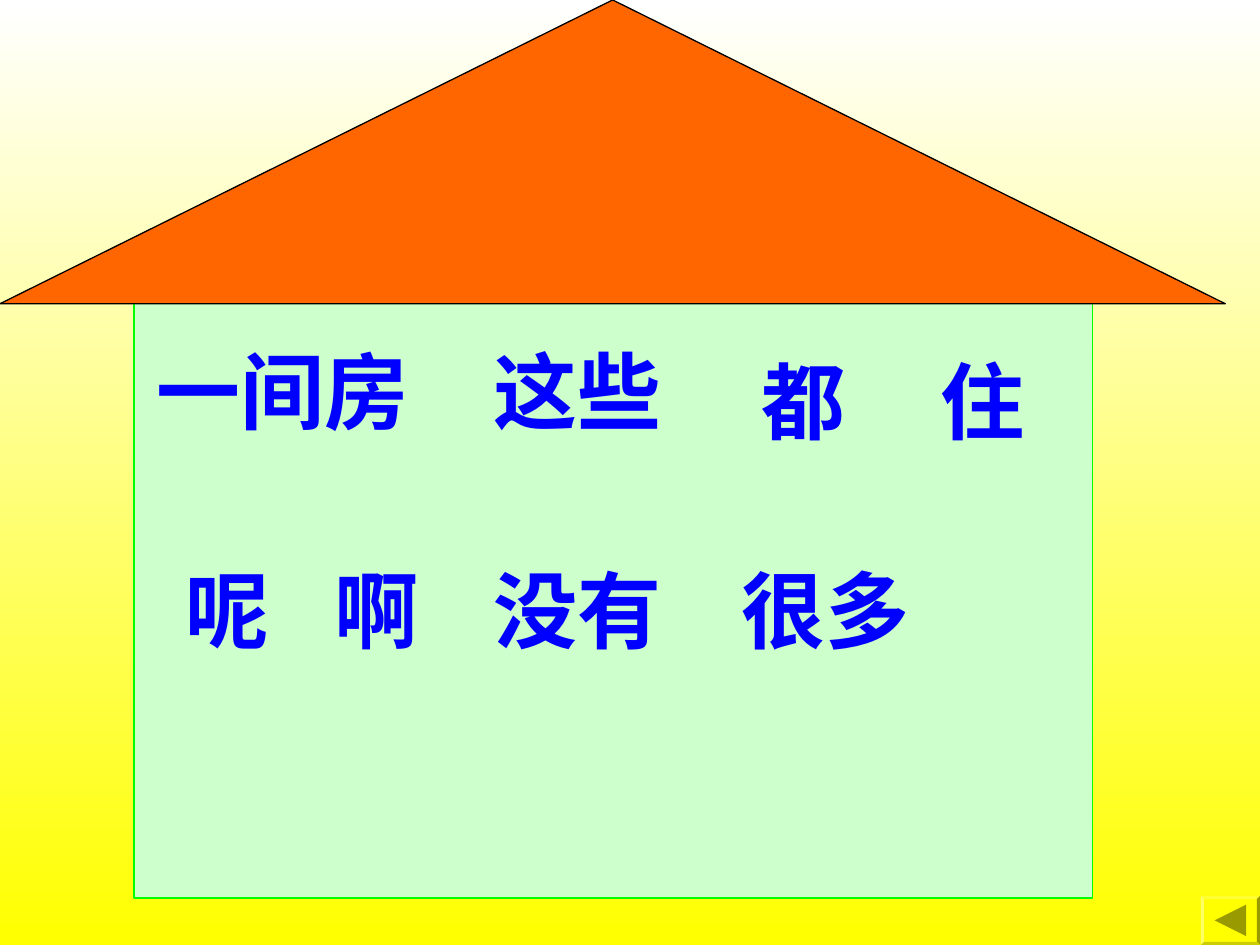
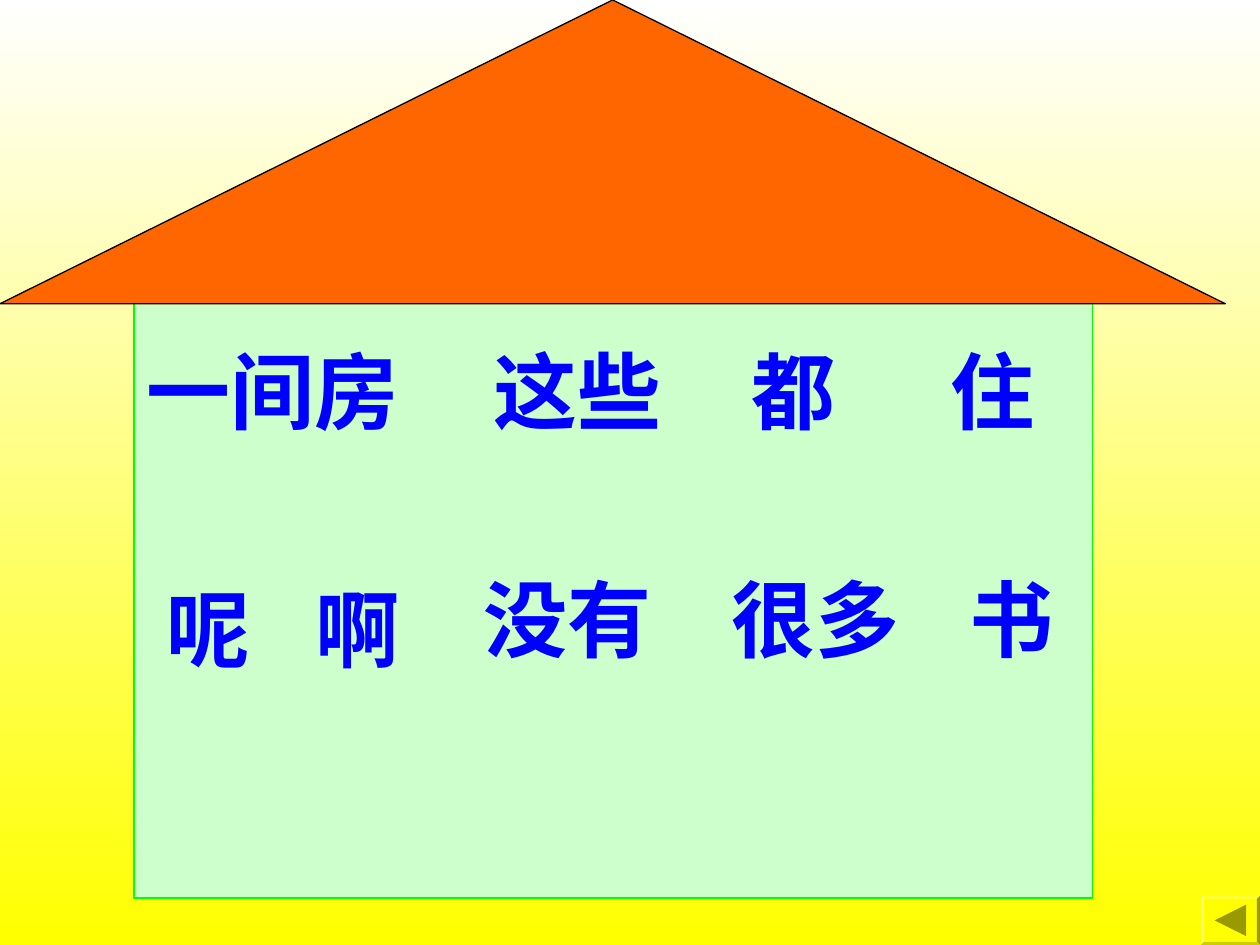
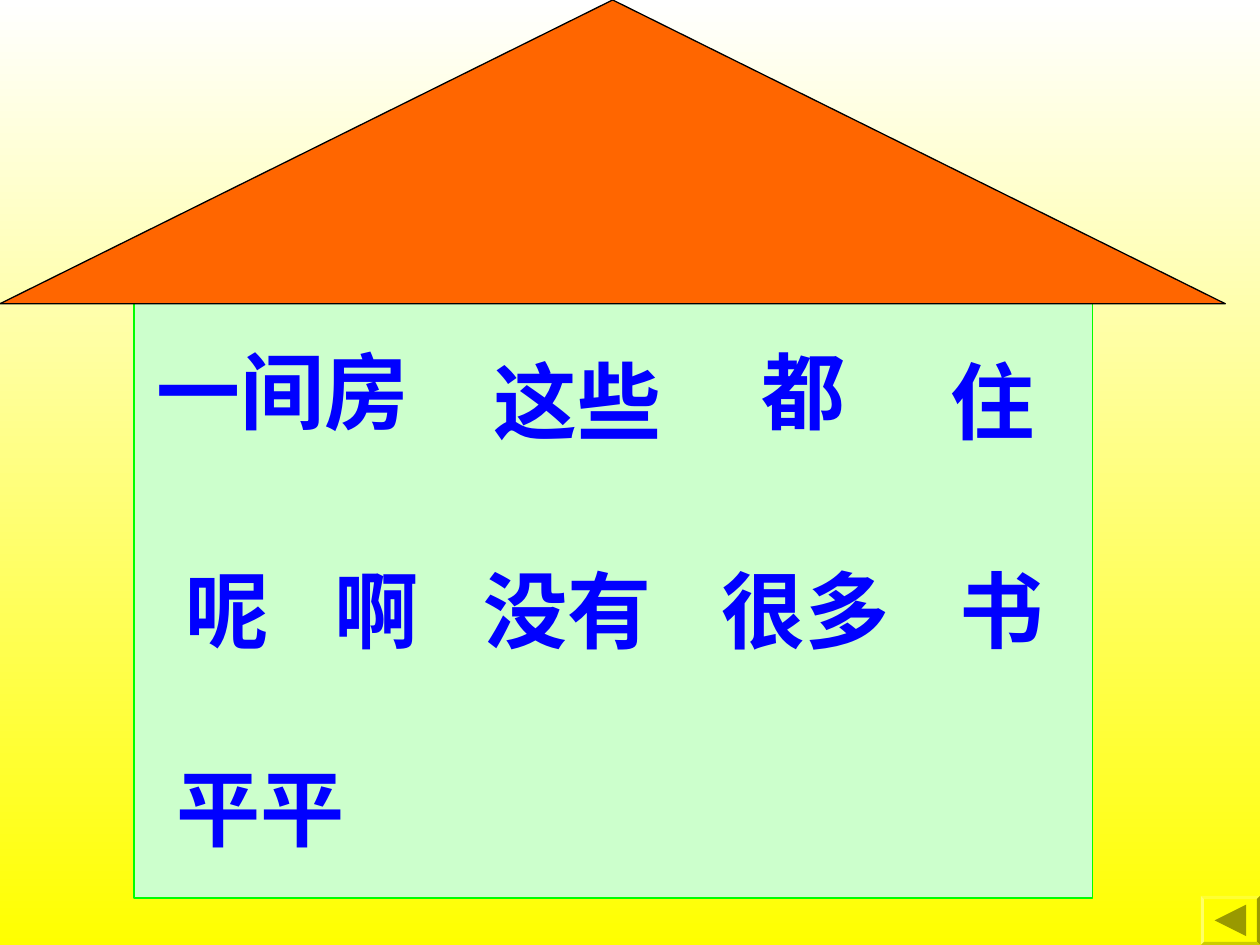
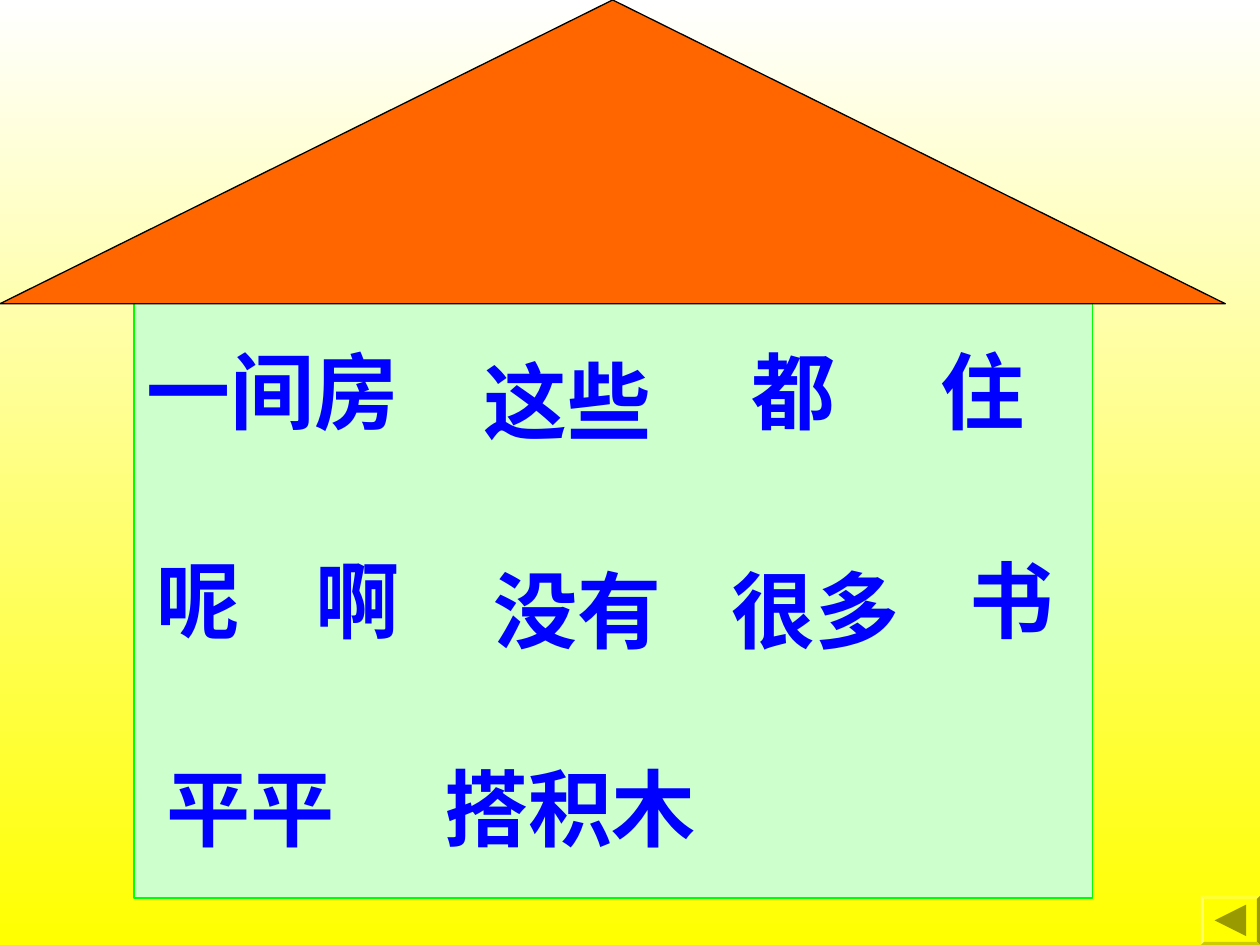
"""Build four slides of a house that fills up with vocabulary words."""
from copy import deepcopy
from dataclasses import dataclass
from typing import NamedTuple

from pptx import Presentation
from pptx.dml.color import RGBColor
from pptx.enum import shapes, text
from pptx.oxml import ns
from pptx.util import Pt


@dataclass(frozen=True)
class Theme:
    """Colours, type and line sizes shared by all slides."""
    sky_top: RGBColor = RGBColor(0xFF, 0xFF, 0xFF)
    sky_bottom: RGBColor = RGBColor(0xFF, 0xFF, 0x00)
    wall: RGBColor = RGBColor(0xCC, 0xFF, 0xCC)
    wall_edge: RGBColor = RGBColor(0x00, 0xFF, 0x00)
    roof: RGBColor = RGBColor(0xFF, 0x66, 0x00)
    roof_edge: RGBColor = RGBColor(0x00, 0x00, 0x00)
    word: RGBColor = RGBColor(0x00, 0x00, 0xFF)
    font: str = "Times New Roman"
    word_size: float = 48
    edge: float = 0.75


class Box(NamedTuple):
    """A rectangle in points."""
    left: float
    top: float
    width: float
    height: float


class Word(NamedTuple):
    """A word with its column and row in grid steps from the wall's corner."""
    label: str
    column: int
    row: int


class Facet(NamedTuple):
    """One outline of the back button and its shading."""
    shade: str
    points: tuple


THEME = Theme()
SLIDE_WIDTH, SLIDE_HEIGHT = 720, 540
WALL = Box(76.54, 173.6, 547.9, 339.6)
ROOF = Box(0, 0, 700.2, 173.6)
STEP = 5.67
WORD_HEIGHT = 64.8
WORD_STEPS = {"一间房": 32, "这些": 20, "都": 14, "住": 16, "呢": 15, "啊": 13,
              "没有": 22, "很多": 20, "书": 12, "平平": 21, "搭积木": 32}
HOUSES = [
    [Word("呢", 4, 25), Word("住", 80, 4), Word("都", 62, 4), Word("这些", 35, 3),
     Word("一间房", 1, 3), Word("啊", 19, 25), Word("没有", 35, 25), Word("很多", 60, 25)],
    [Word("书", 83, 26), Word("很多", 59, 26), Word("没有", 34, 26), Word("啊", 17, 27),
     Word("呢", 2, 27), Word("住", 81, 3), Word("都", 61, 3), Word("这些", 35, 3),
     Word("一间房", 0, 3)],
    [Word("呢", 4, 25), Word("一间房", 1, 3), Word("这些", 35, 4), Word("都", 62, 3),
     Word("住", 81, 4), Word("啊", 19, 25), Word("没有", 34, 25), Word("很多", 58, 25),
     Word("平平", 3, 45), Word("书", 82, 25)],
    [Word("呢", 1, 24), Word("一间房", 0, 3), Word("这些", 34, 4), Word("都", 61, 3),
     Word("住", 80, 3), Word("啊", 17, 24), Word("没有", 35, 25), Word("很多", 59, 25),
     Word("平平", 2, 45), Word("搭积木", 30, 45), Word("书", 83, 24)],
]


def corners(box: Box, inset: float = 0) -> tuple:
    """Return the corners of a box clockwise from the top left."""
    left, top = box.left + inset, box.top + inset
    right, bottom = box.left + box.width - inset, box.top + box.height - inset
    return (left, top), (right, top), (right, bottom), (left, bottom)


def button_facets() -> list[Facet]:
    """Return the face, four bevels and arrow of the back button."""
    button = Box(686.2, 512, 33.8, 28)
    outer, inner = corners(button), corners(button, 1.8)
    bevels = [Facet(shade, (outer[i], outer[(i + 1) % 4], inner[(i + 1) % 4], inner[i]))
              for i, shade in enumerate(("lightenLess", "darken", "darkenLess", "lighten"))]
    arrow = Facet("darken", ((694.1, 526), (712.1, 517), (712.1, 535)))
    return [Facet("norm", outer), *bevels, arrow]


def add_house_part(house, kind, box: Box, fill: RGBColor, edge: RGBColor) -> None:
    """Add one outlined part to the house group."""
    part = house.shapes.add_shape(kind, *map(Pt, box))
    part.shadow.inherit = False
    part.fill.solid()
    part.fill.fore_color.rgb = fill
    part.line.color.rgb = edge
    part.line.width = Pt(THEME.edge)


def add_house(slide) -> None:
    """Draw the wall and the roof as a group."""
    house = slide.shapes.add_group_shape()
    add_house_part(house, shapes.MSO_SHAPE.RECTANGLE, WALL, THEME.wall, THEME.wall_edge)
    add_house_part(house, shapes.MSO_SHAPE.ISOSCELES_TRIANGLE, ROOF, THEME.roof,
                   THEME.roof_edge)


def add_word(slide, word: Word) -> None:
    """Place a word on the wall's grid."""
    box = Box(WALL.left + STEP * word.column, WALL.top + STEP * word.row,
              STEP * WORD_STEPS[word.label], WORD_HEIGHT)
    frame = slide.shapes.add_textbox(*map(Pt, box)).text_frame
    frame.word_wrap = True
    frame.auto_size = text.MSO_AUTO_SIZE.SHAPE_TO_FIT_TEXT
    run = frame.paragraphs[0].add_run()
    run.text = word.label
    run.font.name = THEME.font
    run.font.size = Pt(THEME.word_size)
    run.font.bold = True
    run.font.color.rgb = THEME.word


def add_back_button(slide) -> None:
    """Draw the bevelled button as one outline with separately shaded facets."""
    facets = button_facets()
    builder = None
    for facet in facets:
        start, *rest = [(Pt(x), Pt(y)) for x, y in facet.points]
        if builder is None:
            builder = slide.shapes.build_freeform(*start)
        else:
            builder.move_to(*start)
        builder.add_line_segments(rest, close=True)
    button = builder.convert_to_shape()
    button.shadow.inherit = False
    button.fill.solid()
    button.fill.fore_color.rgb = THEME.sky_bottom
    button.line.fill.background()
    shade_facets(button, facets)


def shade_facets(button, facets: list[Facet]) -> None:
    """Give every contour its own outline element and shading."""
    outline = next(button.element.iter(ns.qn("a:path")))
    steps = list(outline)
    for step in steps:
        outline.remove(step)
    template = deepcopy(outline)
    outlines = outline.getparent()
    outlines.remove(outline)
    remaining = iter(steps)
    for facet in facets:
        contour = deepcopy(template)
        contour.set("fill", facet.shade)
        for step in remaining:
            contour.append(step)
            if step.tag == ns.qn("a:close"):
                break
        outlines.append(contour)


def paint_sky(master) -> None:
    """Set the shared background gradient."""
    sky = master.background.fill
    sky.gradient()
    sky.gradient_angle = 270
    for stop, colour in zip(sky.gradient_stops, (THEME.sky_top, THEME.sky_bottom)):
        stop.color.rgb = colour


def main() -> None:
    """Build and save the presentation."""
    deck = Presentation()
    deck.slide_width, deck.slide_height = Pt(SLIDE_WIDTH), Pt(SLIDE_HEIGHT)
    paint_sky(deck.slide_master)
    blank = deck.slide_layouts.get_by_name("Blank")
    for words in HOUSES:
        slide = deck.slides.add_slide(blank)
        add_house(slide)
        for word in words:
            add_word(slide, word)
        add_back_button(slide)
    deck.save("out.pptx")


if __name__ == "__main__":
    main()
